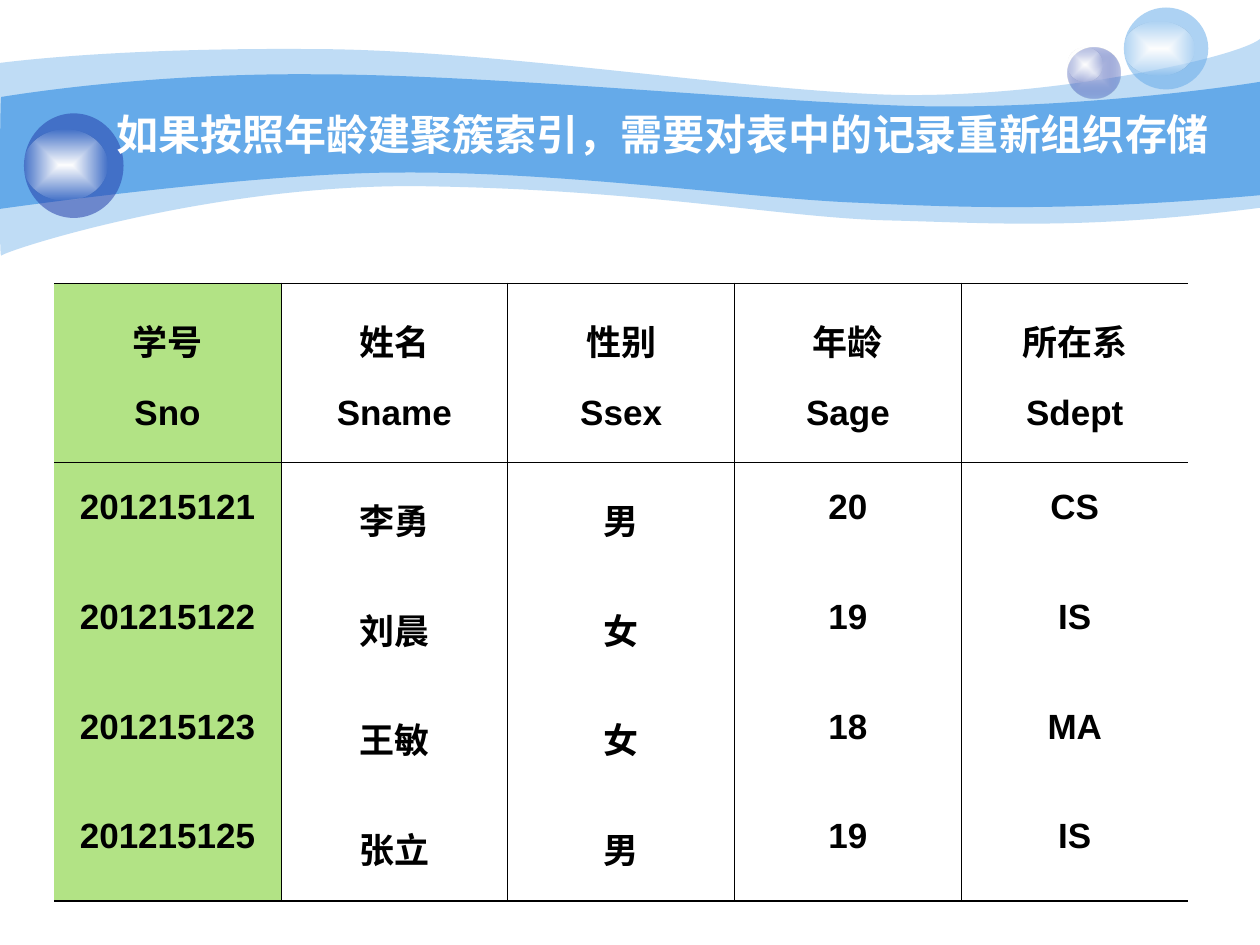
from lxml.etree import SubElement
from pptx import Presentation
from pptx.dml.color import RGBColor
from pptx.enum.shapes import MSO_SHAPE as Shape
from pptx.enum.text import MSO_ANCHOR as Anchor, PP_ALIGN as Align
from pptx.oxml import parse_xml
from pptx.oxml.ns import nsdecls, qn
from pptx.util import Inches, Pt

WIDTH, HEIGHT = 10, 7.5
FONT = "Arial"
SKY, NAVY, GREEN, WHITE, BLACK = "65AAE9", "233DA9", "B2E385", "FFFFFF", "000000"
NO_GRID_STYLE = "{2D5ABB26-0587-4C30-8999-92F81FD0307C}"

TITLE = "如果按照年龄建聚簇索引，需要对表中的记录重新组织存储"
HEADERS = [("学号", "Sno"), ("姓名", "Sname"), ("性别", "Ssex"),
           ("年龄", "Sage"), ("所在系", "Sdept")]
STUDENTS = [
    ("201215121", "李勇", "男", "20", "CS"),
    ("201215122", "刘晨", "女", "19", "IS"),
    ("201215123", "王敏", "女", "18", "MA"),
    ("201215125", "张立", "男", "19", "IS"),
]

# Waves: opacity, start point, then curves (two handles, end) or straight points
WAVES = [
    (41, (0, 0.5), [
        (0.24, 0.47, 1.07, 0.38, 2.47, 0.39), (3.86, 0.39, 5.75, 0.7, 6.99, 0.75),
        (8.22, 0.8, 9.8, 0.47, 10, 0.31), (10, 1.65),
        (8.58, 1.83, 7.87, 1.77, 7.05, 1.75), (6.22, 1.73, 5.15, 1.51, 3.43, 1.48),
        (1.72, 1.44, 0.04, 1.99, 0.01, 2.03), (-0.01, 2.08, 0, 0.75, 0, 0.5)]),
    (100, (0.01, 0.77), [
        (0.02, 0.77, 1.1, 0.58, 2.48, 0.59), (3.86, 0.59, 5.95, 0.8, 7.18, 0.84),
        (8.41, 0.88, 9.76, 0.69, 10, 0.65), (10, 1.55),
        (8.53, 1.68, 7.65, 1.65, 6.82, 1.61), (5.99, 1.58, 4.47, 1.36, 3.17, 1.37),
        (2.03, 1.37, -0.02, 1.66, -0.01, 1.66), (0, 1.66, 0, 0.77, 0.01, 0.77)]),
]

# Bubbles: left, top, width, height, and colour stops (colour, opacity) from the centre
GLOW = [(WHITE, 100), (WHITE, 0)]
BUBBLES = [
    (8.47, 0.38, 0.42, 0.4, [("C7CEE9", 100), (NAVY, 31)]),
    (8.47, 0.38, 0.28, 0.27, GLOW),
    (8.92, 0.06, 0.67, 0.65, [(SKY, 53)]),
    (8.92, 0.17, 0.56, 0.43, GLOW),
    (0.19, 0.9, 0.79, 0.83, [(NAVY, 53)]),
    (0.19, 1.03, 0.66, 0.56, GLOW),
]

TABLE_LEFT, TABLE_TOP = 0.43, 2.25
COLUMN_WIDTH, HEADER_HEIGHT, ROW_HEIGHT = 1.8, 1.42, 0.87
THIN, THICK = 0.45, 1.08


def rgb(value):
    return RGBColor.from_string(value)


def color_xml(value, opacity):
    return f'<a:srgbClr val="{value}"><a:alpha val="{opacity * 1000}"/></a:srgbClr>'


def paint(shape, stops):
    """Fill with one translucent colour, or a gradient outward from the centre."""
    shape.shadow.inherit = False
    shape.line.fill.background()
    shape.fill.background()
    if len(stops) == 1:
        xml = f'<a:solidFill {nsdecls("a")}>{color_xml(*stops[0])}</a:solidFill>'
    else:
        marks = "".join(f'<a:gs pos="{i * 100000}">{color_xml(*stop)}</a:gs>'
                        for i, stop in enumerate(stops))
        xml = (f'<a:gradFill {nsdecls("a")} rotWithShape="1"><a:gsLst>{marks}</a:gsLst>'
               '<a:path path="rect"><a:fillToRect l="50000" t="50000" r="50000" '
               'b="50000"/></a:path></a:gradFill>')
    properties = shape.element.spPr
    properties.replace(properties.find(qn("a:noFill")), parse_xml(xml))


def add_wave(page, start, segments):
    """Lay out all points in hundredths of an inch, then join triples into curves."""
    points = [(round(x * 100), round(y * 100))
              for segment in [start, *segments]
              for x, y in zip(segment[::2], segment[1::2])]
    builder = page.shapes.build_freeform(*points[0], scale=Inches(0.01))
    builder.add_line_segments(points[1:], close=True)
    shape = builder.convert_to_shape()
    lines = iter(list(shape.element.iter(qn("a:lnTo"))))
    for segment in segments:
        first = next(lines)
        if len(segment) == 6:
            first.tag = qn("a:cubicBezTo")
            for line in (next(lines), next(lines)):
                first.append(line[0])
                line.getparent().remove(line)
    return shape


def style(para, size, color):
    font = para.font
    font.name, font.size, font.bold = FONT, Pt(size), True
    font.color.rgb = rgb(color)


def add_border(cell, side, width):
    line = SubElement(cell._tc.get_or_add_tcPr(), qn(f"a:ln{side}"), w=str(Pt(width)))
    if width:
        fill = SubElement(line, qn("a:solidFill"))
        SubElement(fill, qn("a:srgbClr"), val=BLACK)
    else:
        SubElement(line, qn("a:noFill"))


def fill_cell(cell, lines, row, column):
    last_row, last_column = len(STUDENTS), len(HEADERS) - 1
    borders = {
        "L": THIN if column > 0 else 0,
        "R": THIN if column < last_column else 0,
        "T": {0: THICK, 1: THIN}.get(row, 0),
        "B": {0: THIN, last_row: THICK}.get(row, 0),
    }
    for side, width in borders.items():
        add_border(cell, side, width)
    if column == 0:
        cell.fill.solid()
        cell.fill.fore_color.rgb = rgb(GREEN)
    else:
        cell.fill.background()
    for i, text in enumerate(lines):
        para = cell.text_frame.paragraphs[0] if i == 0 else cell.text_frame.add_paragraph()
        para.text = text
        para.alignment, para.line_spacing = Align.CENTER, 1.5
        if i:
            para.space_before = Pt(5)
        style(para, 20, BLACK)


def main():
    deck = Presentation()
    deck.slide_width, deck.slide_height = Inches(WIDTH), Inches(HEIGHT)
    page = deck.slides.add_slide(deck.slide_layouts[6])

    # Banner waves and bubbles
    for opacity, start, segments in WAVES:
        paint(add_wave(page, start, segments), [(SKY, opacity)])
    for *place, stops in BUBBLES:
        paint(page.shapes.add_shape(Shape.OVAL, *map(Inches, place)), stops)

    # Title
    box = page.shapes.add_textbox(*map(Inches, (0.83, 0.75, 8.98, 0.62)))
    frame = box.text_frame
    frame.word_wrap, frame.vertical_anchor = True, Anchor.MIDDLE
    frame.text = TITLE
    style(frame.paragraphs[0], 24, WHITE)

    # Student table
    rows = [HEADERS] + [[(value,) for value in student] for student in STUDENTS]
    heights = [HEADER_HEIGHT] + [ROW_HEIGHT] * len(STUDENTS)
    holder = page.shapes.add_table(
        len(rows), len(HEADERS), Inches(TABLE_LEFT), Inches(TABLE_TOP),
        Inches(COLUMN_WIDTH * len(HEADERS)), Inches(sum(heights)))
    table = holder.table
    table.first_row = table.horz_banding = False
    table._tbl.tblPr.find(qn("a:tableStyleId")).text = NO_GRID_STYLE
    for column in table.columns:
        column.width = Inches(COLUMN_WIDTH)
    for r, (row, height) in enumerate(zip(rows, heights)):
        table.rows[r].height = Inches(height)
        for c, lines in enumerate(row):
            fill_cell(table.cell(r, c), lines, r, c)

    deck.save("out.pptx")


if __name__ == "__main__":
    main()
